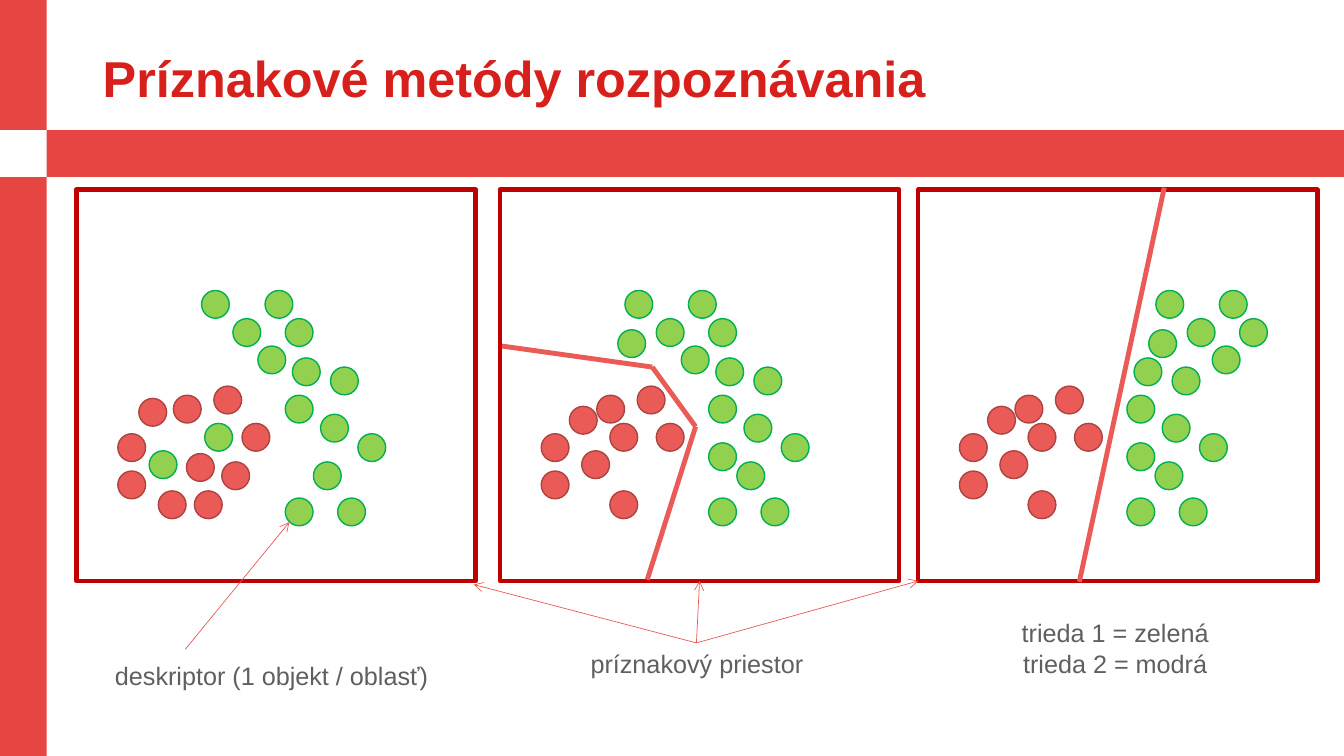
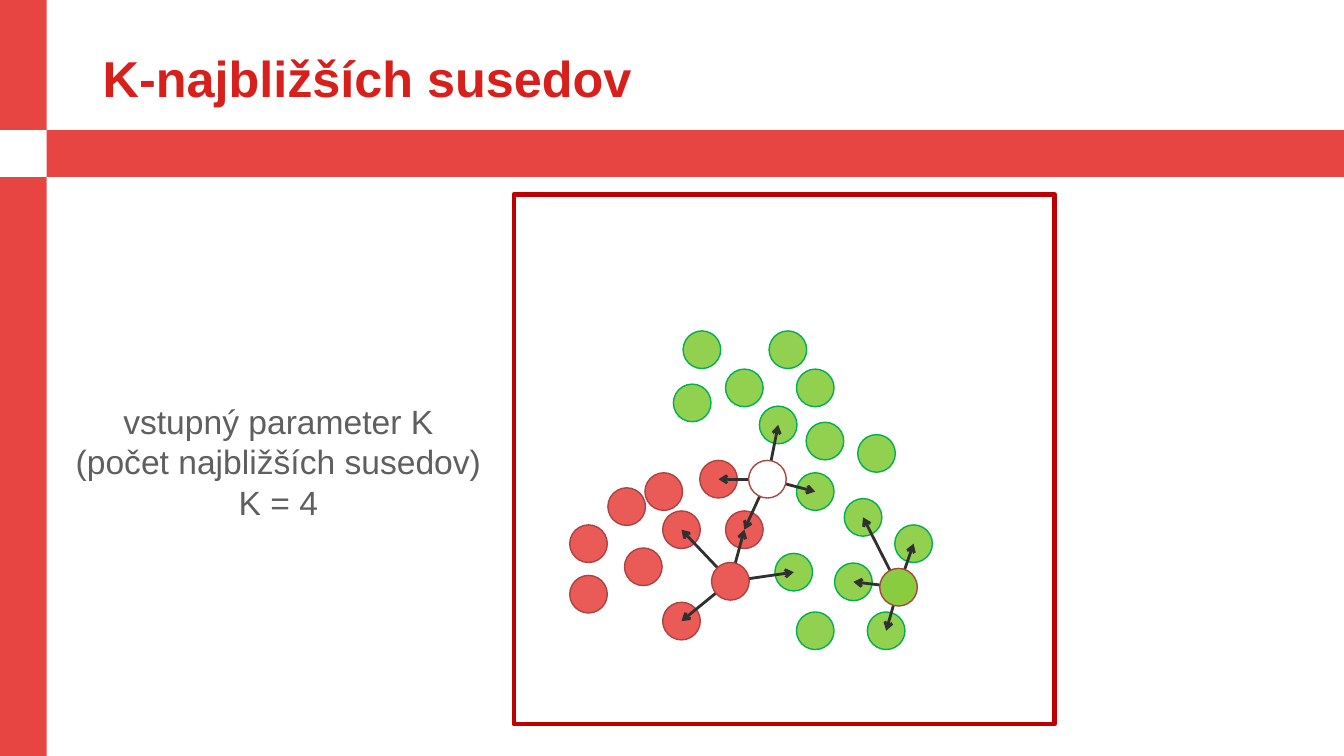
import math
from dataclasses import dataclass

import pptx
import pptx.dml.color
import pptx.enum.shapes
import pptx.enum.text
import pptx.oxml.ns
import pptx.util
from lxml import etree

Cm = pptx.util.Cm
Pt = pptx.util.Pt
RGBColor = pptx.dml.color.RGBColor
ShapeType = pptx.enum.shapes.MSO_SHAPE
Align = pptx.enum.text.PP_ALIGN
Anchor = pptx.enum.text.MSO_ANCHOR

BAND = RGBColor(0xE7, 0x45, 0x41)
TITLE = RGBColor(0xD7, 0x1F, 0x1B)
TEXT = RGBColor(0x5F, 0x5F, 0x5F)
FRAME = RGBColor(0xC0, 0x00, 0x00)
RED = RGBColor(0xEA, 0x5B, 0x58)
DARK_RED = RGBColor(0xAD, 0x43, 0x41)
GREEN = RGBColor(0x92, 0xD0, 0x50)
DARK_GREEN = RGBColor(0x00, 0xB0, 0x50)
QUERY_GREEN = RGBColor(0x89, 0xCC, 0x40)
WHITE = RGBColor(0xFF, 0xFF, 0xFF)
ARROW = RGBColor(0x30, 0x30, 0x30)

FONT = "Arial"
SLIDE_WIDTH, SLIDE_HEIGHT = 33.87, 19.05
BAND_TOP, BAND_SIZE = 3.28, 1.18
FRAME_WIDTH, FRAME_HEIGHT = 10.06, 9.86
FRAME_TOP = 4.78
DOT_SIZE = 0.7

# Dot centres in cm, measured from the corner of an unscaled frame
LOWER_GREENS = [(5.61, 8.12), (6.93, 8.12), (6.32, 7.21), (6.5, 6.01),
                (7.44, 6.5), (5.61, 5.53), (6.75, 4.82), (5.79, 4.59)]
UPPER_GREENS = [(4.92, 4.29), (4.29, 3.6), (5.61, 3.6), (5.1, 2.89), (3.5, 2.89)]
LEFT_GREEN = (3.32, 3.88)
MIDDLE_GREEN = (5.61, 6.73)
MIXED_GREENS = [(3.58, 6.24), (2.18, 6.93)]
SHARED_REDS = [(1.39, 7.44), (1.39, 6.5), (2.79, 5.53), (3.81, 5.3)]
MIXED_REDS = SHARED_REDS + [(4.01, 7.21), (3.12, 7), (3.32, 7.94), (2.41, 7.94),
                            (4.52, 6.24), (1.92, 5.61)]
SEPARATE_REDS = SHARED_REDS + [(2.41, 6.93), (2.1, 5.81), (3.12, 6.24),
                               (3.12, 7.94), (4.29, 6.24)]
UPPER_SHIFT = 2.84
K = 4


@dataclass
class Field:
    """Placement of a feature space on the slide."""
    left: float
    top: float = FRAME_TOP
    scale: float = 1

    def place(self, point):
        return self.left + point[0] * self.scale, self.top + point[1] * self.scale


def write_text(shape, lines, size=18, color=TEXT, bold=False, align=Align.CENTER,
               anchor=Anchor.TOP, spacing=1.0):
    frame = shape.text_frame
    frame.word_wrap = True
    frame.vertical_anchor = anchor
    for index, line in enumerate(lines):
        paragraph = frame.add_paragraph() if index else frame.paragraphs[0]
        paragraph.text = line
        paragraph.alignment = align
        paragraph.line_spacing = spacing
        font = paragraph.font
        font.name, font.size, font.bold = FONT, Pt(size), bold
        font.color.rgb = color


class Deck:
    def __init__(self):
        self.presentation = pptx.Presentation()
        self.presentation.slide_width = Cm(SLIDE_WIDTH)
        self.presentation.slide_height = Cm(SLIDE_HEIGHT)
        self.slide = None

    def new_slide(self, title):
        self.slide = self.presentation.slides.add_slide(
            self.presentation.slide_layouts[6])
        self.shape(0, 0, BAND_SIZE, SLIDE_HEIGHT, fill=BAND)
        self.shape(0, BAND_TOP, SLIDE_WIDTH, BAND_SIZE, fill=BAND)
        self.shape(0, BAND_TOP, BAND_SIZE, BAND_SIZE, fill=WHITE)
        self.text(2.34, 0.89, 29.21, 2.31, [title], size=36, color=TITLE, bold=True,
                  align=Align.LEFT, anchor=Anchor.MIDDLE, spacing=0.9)

    def shape(self, left, top, width, height, kind=ShapeType.RECTANGLE,
              fill=None, line=None, line_width=1):
        shape = self.slide.shapes.add_shape(
            kind, Cm(left), Cm(top), Cm(width), Cm(height))
        shape.shadow.inherit = False
        if fill is None:
            shape.fill.background()
        else:
            shape.fill.solid()
            shape.fill.fore_color.rgb = fill
        if line is None:
            shape.line.fill.background()
        else:
            shape.line.color.rgb = line
            shape.line.width = Pt(line_width)
        return shape

    def text(self, left, top, width, height, lines, **style):
        box = self.slide.shapes.add_textbox(Cm(left), Cm(top), Cm(width), Cm(height))
        write_text(box, lines, **style)

    def line(self, start, end, color=RED, width=3.5, arrow=False):
        connector = self.slide.shapes.add_connector(
            pptx.enum.shapes.MSO_CONNECTOR.STRAIGHT,
            *(Cm(value) for value in (*start, *end)))
        connector.line.color.rgb = color
        connector.line.width = Pt(width)
        if arrow:
            etree.SubElement(connector.line._get_or_add_ln(),
                             pptx.oxml.ns.qn("a:tailEnd"), type="arrow")
        etree.SubElement(connector._element.spPr, pptx.oxml.ns.qn("a:effectLst"))
        return connector

    def frame(self, field):
        return self.shape(field.left, field.top, FRAME_WIDTH * field.scale,
                          FRAME_HEIGHT * field.scale, line=FRAME, line_width=3.25)

    def dots(self, field, points, fill, line):
        size = DOT_SIZE * field.scale
        for point in points:
            x, y = field.place(point)
            self.shape(x - size / 2, y - size / 2, size, size,
                       ShapeType.OVAL, fill, line)

    def feature_space(self, field, reds, greens):
        frame = self.frame(field)
        self.dots(field, reds, RED, DARK_RED)
        self.dots(field, greens, GREEN, DARK_GREEN)
        return frame

    def boundary(self, field, points):
        places = [field.place(point) for point in points]
        for start, end in zip(places, places[1:]):
            self.line(start, end)


def add_feature_methods(deck):
    deck.new_slide("Príznakové metódy rozpoznávania")
    mixed, curved, linear = Field(1.93), Field(12.6), Field(23.14)
    shifted = [(x + UPPER_SHIFT, y) for x, y in UPPER_GREENS + [LEFT_GREEN]]
    deck.feature_space(mixed, MIXED_REDS, LOWER_GREENS + UPPER_GREENS + MIXED_GREENS)
    curved_frame = deck.feature_space(
        curved, SEPARATE_REDS,
        LOWER_GREENS + UPPER_GREENS + [LEFT_GREEN, MIDDLE_GREEN])
    deck.feature_space(linear, SEPARATE_REDS, LOWER_GREENS + shifted + [MIDDLE_GREEN])
    deck.boundary(linear, [(4.06, 9.88), (6.2, -0.05)])
    deck.boundary(curved, [(3.71, 9.83), (4.93, 5.97), (3.84, 4.47), (0.05, 3.94)])

    for left, top, height, lines in [
        (23.01, 15.44, 1.8, ["trieda 1 = zelená", "trieda 2 = modrá"]),
        (12.47, 16.21, 1.02, ["príznakový priestor"]),
        (1.75, 16.51, 1.02, ["deskriptor (1 objekt / oblasť)"]),
    ]:
        deck.text(left, top, 10.19, height, lines)

    pointer = dict(width=0.5, arrow=True)
    deck.line((4.67, 16.36), (7.29, 13.16), **pointer)
    fan = (17.55, 16.2)
    frame_bottom = FRAME_TOP + FRAME_HEIGHT
    deck.line(fan, (11.94, 14.73), **pointer)
    deck.line(fan, (linear.left, frame_bottom), **pointer)
    middle = deck.line(fan, (curved.left + FRAME_WIDTH / 2, frame_bottom), **pointer)
    middle.end_connect(curved_frame, 2)


def add_nearest_neighbours(deck):
    deck.new_slide("K-najbližších susedov")
    field = Field(12.95, 4.9, 1.354)
    greens = LOWER_GREENS + UPPER_GREENS + [LEFT_GREEN, (5.21, 7.03)]
    deck.feature_space(field, SEPARATE_REDS, greens)
    queries = [((4.03, 7.2), RED), ((4.72, 5.3), WHITE), ((7.16, 7.31), QUERY_GREEN)]
    for query, fill in queries:
        by_distance = sorted(SEPARATE_REDS + greens,
                             key=lambda point: math.dist(query, point))
        for neighbour in by_distance[:K]:
            deck.line(field.place(query), field.place(neighbour),
                      ARROW, width=2, arrow=True)
        deck.dots(field, [query], fill, DARK_RED)
    deck.text(1.63, 9.98, 10.77, 3.33,
              ["vstupný parameter K", "(počet najbližších susedov)", f"K = {K}"],
              size=24)


def main():
    deck = Deck()
    add_feature_methods(deck)
    add_nearest_neighbours(deck)
    deck.presentation.save("out.pptx")


if __name__ == "__main__":
    main()
